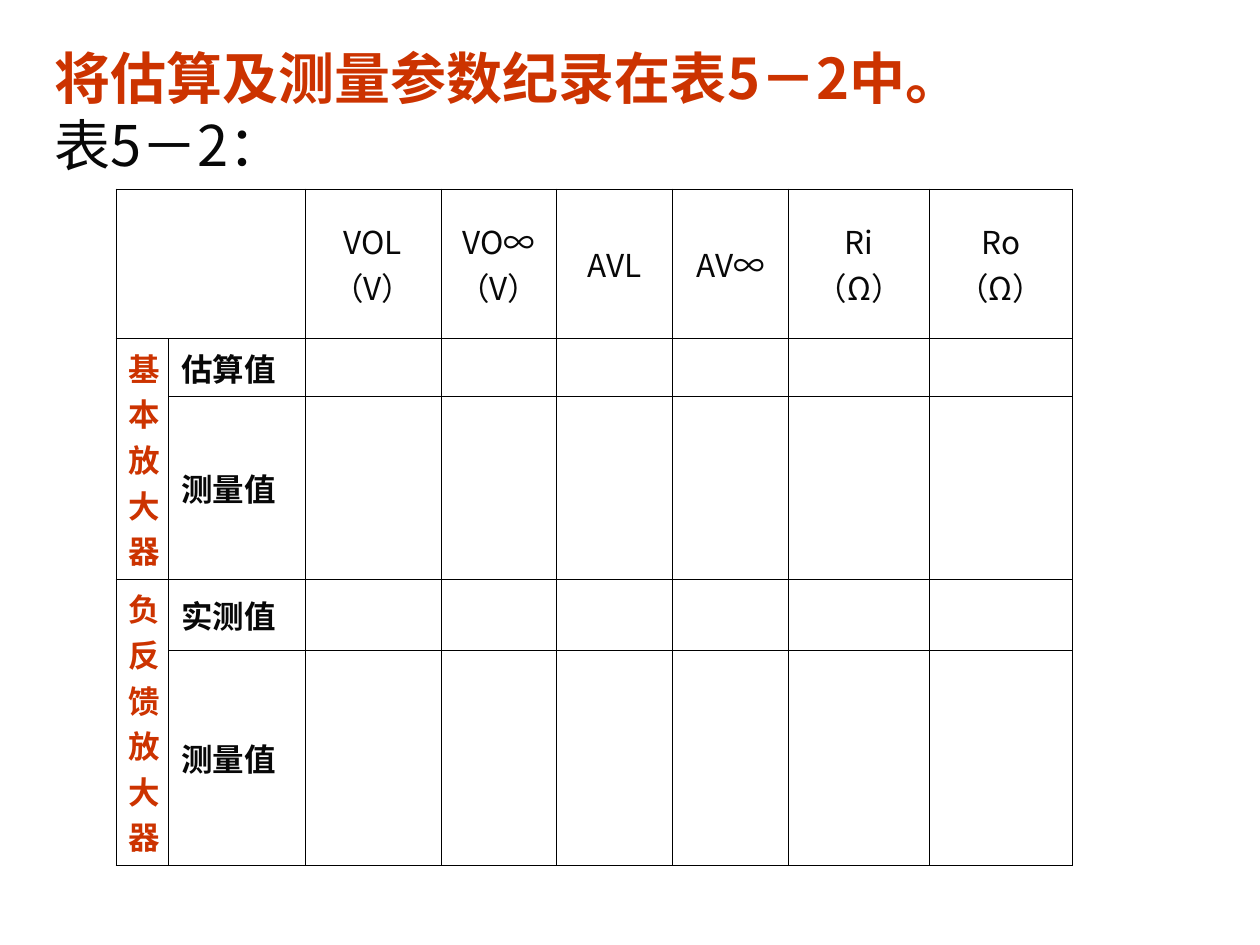
from lxml.etree import SubElement
from pptx import Presentation
from pptx.dml.color import RGBColor
from pptx.enum.text import MSO_ANCHOR as Anchor, MSO_AUTO_SIZE as AutoSize, PP_ALIGN as Align
from pptx.oxml.ns import qn
from pptx.util import Inches, Pt

FONT = "Noto Sans CJK SC"
RED = "CC3300"
INK = "080808"
COLUMNS = [0.42, 1.08, 1.08, 0.92, 0.92, 0.92, 1.12, 1.13]
ROWS = [1, 0.4, 1.2, 0.57, 1.33]
HEADERS = ["VOL\n（V）", "VO∞\n（V）", "AVL", "AV∞", "Ri\n（Ω）", "Ro\n（Ω）"]
GROUPS = [("基本放大器", Align.LEFT), ("负反馈放大器", Align.CENTER)]
READINGS = ["估算值", "测量值", "实测值", "测量值"]


def color(value):
    return RGBColor.from_string(value)


def write(para, text, size=18, ink=INK, bold=False, align=Align.LEFT):
    para.alignment = align
    span = para.add_run()
    span.text = text
    span.font.size = Pt(size)
    span.font.bold = bold
    span.font.color.rgb = color(ink)
    span.font.name = FONT
    SubElement(span.font._element, qn("a:ea"), typeface=FONT)


class SlideBuilder:
    def __init__(self, deck):
        self.page = deck.slides.add_slide(deck.slide_layouts[5])

    def title(self, heading, caption):
        box = self.page.shapes.title
        box.left, box.top = Inches(0.33), Inches(0.25)
        box.width, box.height = Inches(9.34), Inches(1.25)
        frame = box.text_frame
        frame.word_wrap = True
        frame.auto_size = AutoSize.NONE
        frame.vertical_anchor = Anchor.MIDDLE
        para = frame.paragraphs[0]
        write(para, heading, 32, RED, True)
        para.add_line_break()
        write(para, caption, 32)

    def border(self, cell):
        props = cell._tc.get_or_add_tcPr()
        for side in ("lnL", "lnR", "lnT", "lnB"):
            line = SubElement(props, qn(f"a:{side}"), w=str(Pt(0.45)))
            fill = SubElement(line, qn("a:solidFill"))
            SubElement(fill, qn("a:srgbClr"), val="000000")

    def cell(self, cell, text, **style):
        for index, line in enumerate(text.split("\n")):
            frame = cell.text_frame
            para = frame.add_paragraph() if index else frame.paragraphs[0]
            write(para, line, **style)

    def table(self):
        frame = self.page.shapes.add_table(
            len(ROWS), len(COLUMNS), Inches(0.92), Inches(1.5),
            Inches(sum(COLUMNS)), Inches(sum(ROWS)))
        table = frame.table
        table.first_row = table.horz_banding = False
        for column, width in zip(table.columns, COLUMNS):
            column.width = Inches(width)
        for row, height in zip(table.rows, ROWS):
            row.height = Inches(height)
        for cell in table.iter_cells():
            self.border(cell)
            cell.fill.background()
            cell.vertical_anchor = Anchor.MIDDLE
        table.cell(0, 0).merge(table.cell(0, 1))
        for column, text in enumerate(HEADERS, 2):
            self.cell(table.cell(0, column), text, align=Align.CENTER)
        for index, (text, align) in enumerate(GROUPS):
            row = 1 + 2 * index
            table.cell(row, 0).merge(table.cell(row + 1, 0))
            self.cell(table.cell(row, 0), text, ink=RED, bold=True, align=align)
        for row, text in enumerate(READINGS, 1):
            self.cell(table.cell(row, 1), text, bold=True)


def main():
    deck = Presentation()
    deck.slide_width, deck.slide_height = Inches(10), Inches(7.5)
    builder = SlideBuilder(deck)
    builder.title("将估算及测量参数纪录在表5－2中。", "表5－2：")
    builder.table()
    deck.save("out.pptx")


if __name__ == "__main__":
    main()
